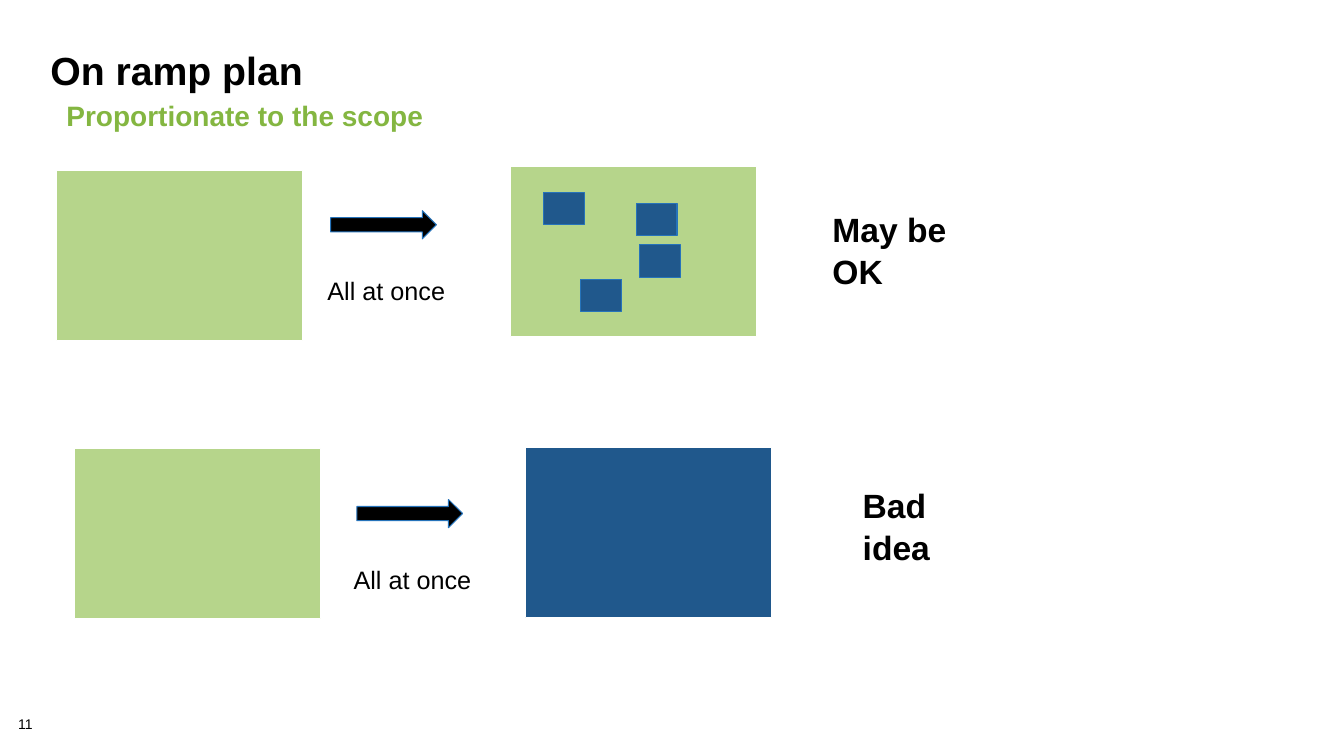
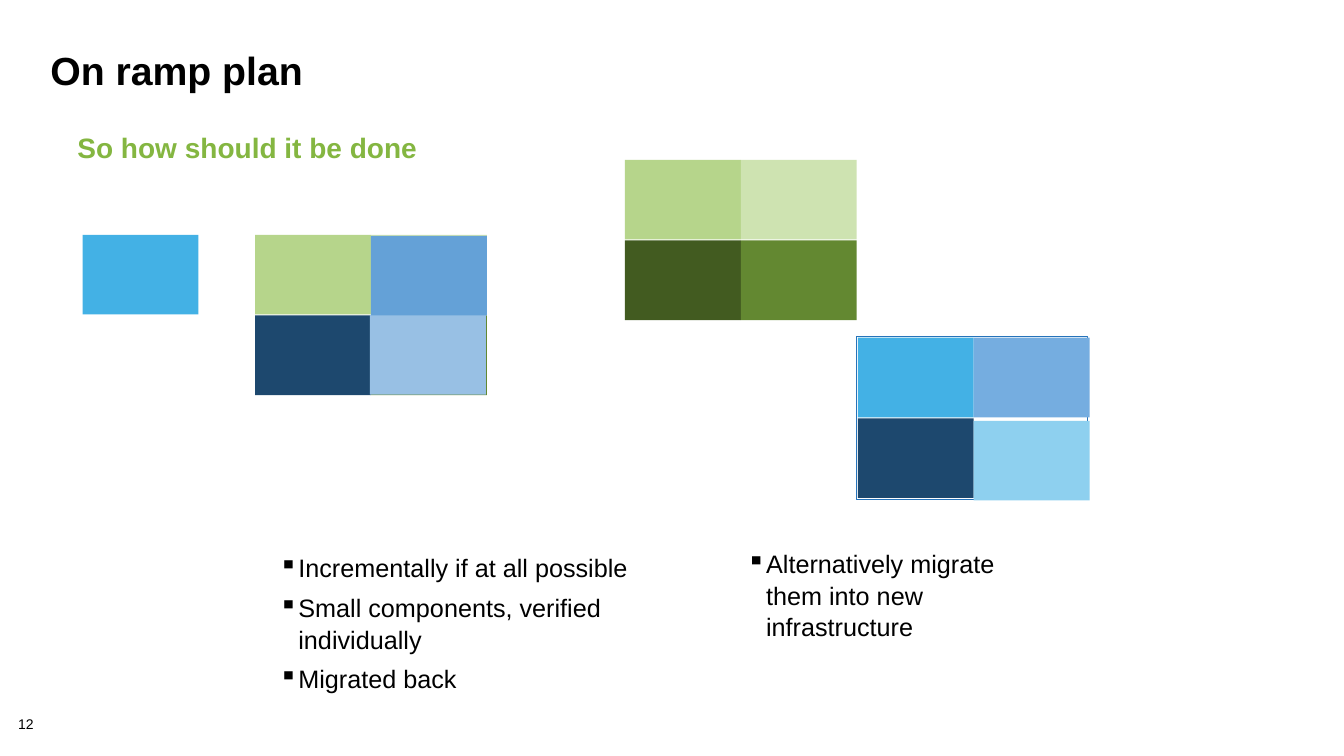
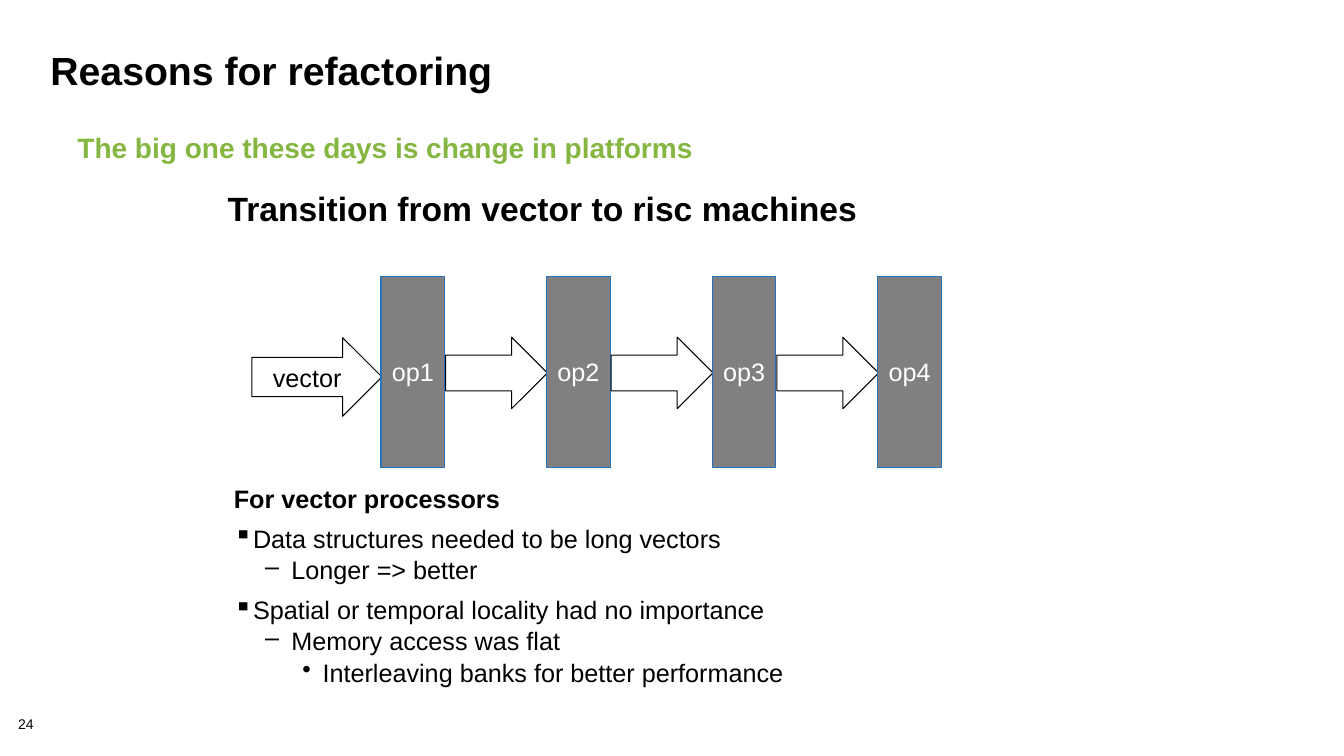
from lxml.etree import SubElement
from pptx import Presentation
from pptx.dml.color import RGBColor
from pptx.enum.shapes import MSO_SHAPE
from pptx.enum.text import MSO_ANCHOR, MSO_AUTO_SIZE, PP_ALIGN
from pptx.oxml.ns import qn
from pptx.util import Inches, Pt

BLACK = RGBColor(0x00, 0x00, 0x00)
WHITE = RGBColor(0xFF, 0xFF, 0xFF)
GRAY = RGBColor(0x80, 0x80, 0x80)
LEAF = RGBColor(0x84, 0xB6, 0x41)
LIME = RGBColor(0xB6, 0xD5, 0x8B)
PALE = RGBColor(0xCE, 0xE3, 0xB1)
MOSS = RGBColor(0x63, 0x88, 0x31)
PINE = RGBColor(0x42, 0x5B, 0x20)
NAVY = RGBColor(0x20, 0x58, 0x8C)
INK = RGBColor(0x1D, 0x48, 0x6E)
EDGE = RGBColor(0x26, 0x73, 0xBA)
SKY = RGBColor(0x43, 0xB1, 0xE5)
AQUA = RGBColor(0x8E, 0xD0, 0xEF)
STEEL = RGBColor(0x64, 0xA1, 0xD7)
MIST = RGBColor(0x98, 0xC0, 0xE4)
HAZE = RGBColor(0x75, 0xAD, 0xE0)

COLS, ROWS = 40, 30
TILE = (3.45, 3.16)
STEP = (3.45, 3.2)
MARKS = {
    1: ("▪", 0.19, -0.19, 6),
    2: ("–", 0.57, -0.26, 0),
    3: ("•", 0.88, -0.2, 0),
}


class Deck:
    face = "Arial"
    edge = 0.75

    def __init__(self):
        self.show = Presentation()
        self.show.slide_width = Inches(13.33)
        self.show.slide_height = Inches(7.5)
        self.col = self.show.slide_width / COLS
        self.row = self.show.slide_height / ROWS

    def area(self, x, y, w, h):
        return (round(x * self.col), round(y * self.row),
                round(w * self.col), round(h * self.row))

    def style(self, para, size, color=BLACK, bold=False, lead=None):
        if lead:
            para.line_spacing = lead
        para.font.name = self.face
        para.font.size = Pt(size)
        para.font.bold = bold
        para.font.color.rgb = color

    def slide(self, title, sub, place, page):
        self.page = self.show.slides.add_slide(self.show.slide_layouts[5])
        head = self.page.shapes.title
        head.left, head.top, head.width, head.height = self.area(1.2, 1.8, 37.33, 2.24)
        frame = head.text_frame
        frame.text = title
        frame.auto_size = MSO_AUTO_SIZE.NONE
        frame.vertical_anchor = MSO_ANCHOR.MIDDLE
        frame.paragraphs[0].alignment = PP_ALIGN.LEFT
        self.style(frame.paragraphs[0], 28, bold=True, lead=0.85)
        self.text(sub, (*place, 36.63, 2.2), 20, LEAF, True, 0.9)
        self.text(page, (0.54, 28.48, 1.68, 0.64), 10, lead=0.9, pad=False)

    def frame(self, place, pad=True):
        frame = self.page.shapes.add_textbox(*self.area(*place)).text_frame
        frame.word_wrap = True
        if not pad:
            frame.margin_left = frame.margin_right = 0
            frame.margin_top = frame.margin_bottom = 0
        return frame

    def text(self, words, place, size=18, color=BLACK, bold=False, lead=None, pad=True):
        frame = self.frame(place, pad)
        frame.text = words
        self.style(frame.paragraphs[0], size, color, bold, lead)

    def list(self, items, place):
        frame = self.frame(place, pad=False)
        for index, (level, words) in enumerate(items):
            para = frame.paragraphs[0] if index == 0 else frame.add_paragraph()
            para.text = words
            gap = 6
            if level:
                mark, left, hang, gap = MARKS[level]
                para.level = level - 1
                props = para._p.get_or_add_pPr()
                props.set("marL", str(Inches(left)))
                props.set("indent", str(Inches(hang)))
                SubElement(props, qn("a:buChar")).set("char", mark)
            if index:
                para.space_before = Pt(gap)
            self.style(para, 18, bold=level == 0, lead=1.04)

    def shape(self, place, fill, line=None, words="", color=WHITE, kind=MSO_SHAPE.RECTANGLE):
        item = self.page.shapes.add_shape(kind, *self.area(*place))
        item.shadow.inherit = False
        item.fill.solid()
        item.fill.fore_color.rgb = fill
        if line is None:
            item.line.fill.background()
        else:
            item.line.color.rgb = line
            item.line.width = Pt(self.edge)
        if words:
            frame = item.text_frame
            frame.margin_left = frame.margin_right = 0
            frame.vertical_anchor = MSO_ANCHOR.MIDDLE
            frame.text = words
            frame.paragraphs[0].alignment = PP_ALIGN.CENTER
            self.style(frame.paragraphs[0], 18, color)

    def arrow(self, place, fill, line, words=""):
        self.shape(place, fill, line, words, BLACK, MSO_SHAPE.RIGHT_ARROW)

    def tile(self, x, y, fill):
        self.shape((x, y, *TILE), fill)

    def quad(self, x, y, fills):
        for index, fill in enumerate(fills):
            down, over = divmod(index, 2)
            self.tile(x + over * STEP[0], y + down * STEP[1], fill)


def scope(deck):
    deck.slide("On ramp plan", "Proportionate to the scope", (1.68, 3.88), "11")
    size = (7.33, 6.76)
    cases = [
        ((1.68, 6.76), (9.84, 8.36), (15.18, 6.6), LIME, (24.48, 8.04), "May be OK"),
        ((2.22, 17.8), (10.62, 19.82), (15.63, 17.76), NAVY, (25.38, 19), "Bad idea"),
    ]
    for start, (x, y), end, fill, note, words in cases:
        deck.shape((*start, *size), LIME, WHITE)
        deck.arrow((x, y, 3.15, 1.12), BLACK, EDGE)
        deck.text("All at once", (x - 0.39, y + 2.38, 5.07, 1.72))
        deck.shape((*end, *size), fill, WHITE)
        deck.text(words, (*note, 4.62, 3.88), 24, bold=True, lead=1.04)
    for x, y in [(16.17, 7.64), (17.28, 11.08), (19.02, 9.72), (18.93, 8.06)]:
        deck.shape((x, y, 1.22, 1.28), NAVY, EDGE)


def method(deck):
    deck.slide("On ramp plan", "So how should it be done", (2.01, 5.12), "12")
    deck.list([
        (1, "Incrementally if at all possible"),
        (1, "Small components, verified individually"),
        (1, "Migrated back"),
    ], (8.31, 21.88, 11.22, 6.44))
    deck.list([(1, "Alternatively migrate them into new infrastructure")],
              (22.23, 21.72, 8.25, 7.08))
    deck.tile(2.46, 9.32, SKY)
    deck.quad(7.59, 9.32, [LIME, PALE, INK, MOSS])
    deck.tile(11.01, 12.5, MIST)
    deck.tile(11.04, 9.36, STEEL)
    deck.quad(18.6, 6.34, [LIME, PALE, PINE, MOSS])
    deck.shape((25.48, 13.36, 6.88, 6.48), WHITE, EDGE)
    deck.quad(25.53, 13.4, [SKY, HAZE, INK])
    deck.tile(28.98, 16.7, AQUA)


def reason(deck):
    deck.slide("Reasons for refactoring", "The big one these days is change in platforms",
               (2.01, 5.12), "24")
    deck.text("Transition from vector to risc machines", (6.48, 7.44, 26.31, 2.92),
              24, bold=True, lead=0.9)
    deck.arrow((7.5, 13.4, 3.87, 3.12), WHITE, BLACK, "vector")
    for index in range(4):
        x = 11.34 + index * 4.93
        deck.shape((x, 10.96, 1.89, 7.58), GRAY, EDGE, f"op{index + 1}")
        if index < 3:
            deck.arrow((x + 1.92, 13.38, 3.03, 2.84), WHITE, BLACK)
    deck.list([
        (0, "For vector processors"),
        (1, "Data structures needed to be long vectors"),
        (2, "Longer => better"),
        (1, "Spatial or temporal locality had no importance"),
        (2, "Memory access was flat"),
        (3, "Interleaving banks for better performance"),
    ], (6.96, 19.12, 19.86, 10.2))


def main():
    deck = Deck()
    scope(deck)
    method(deck)
    reason(deck)
    deck.show.save("out.pptx")


if __name__ == "__main__":
    main()
